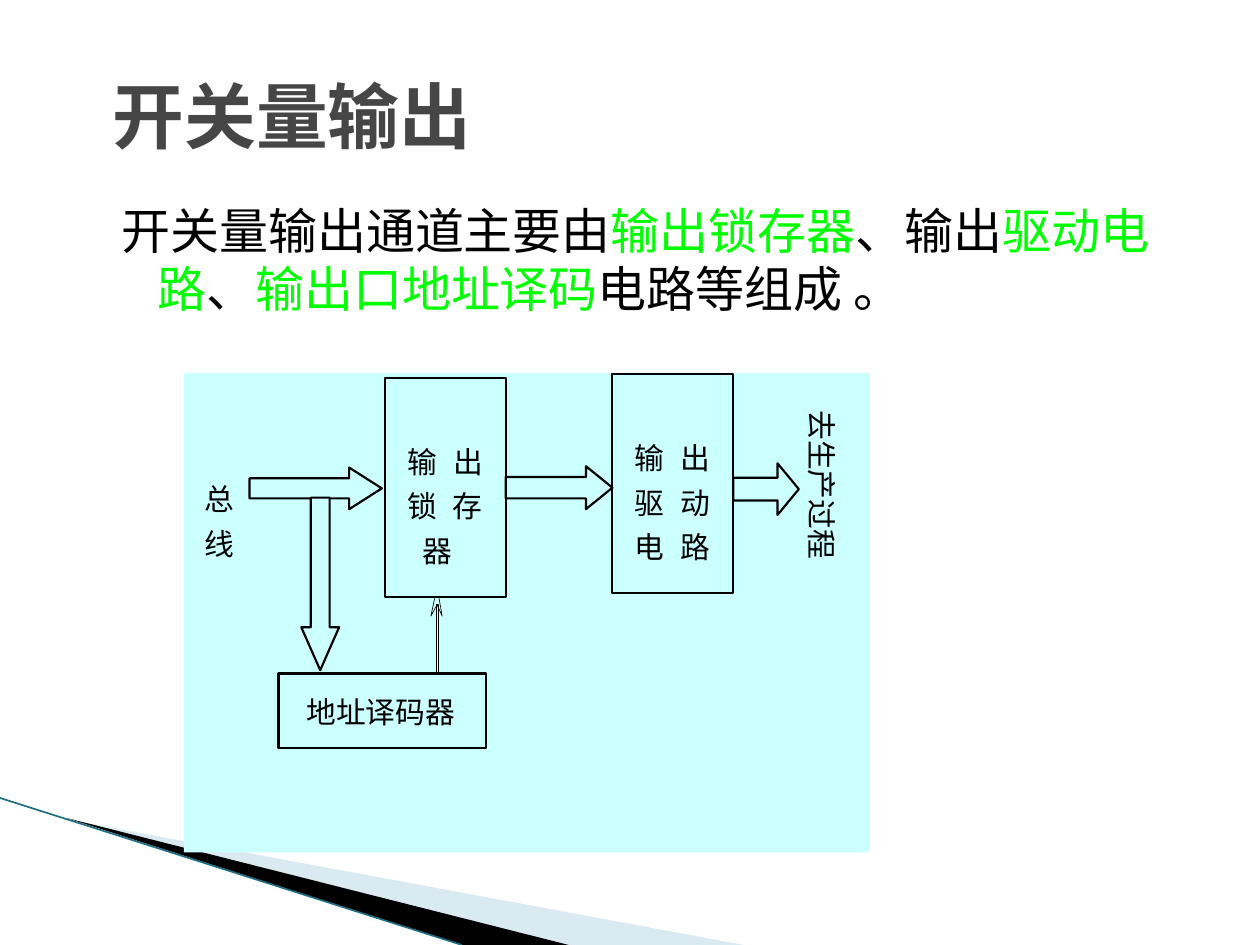
import pptx
import pptx.dml.color
import pptx.enum.shapes
import pptx.enum.text
import pptx.oxml.ns
import pptx.util
from lxml import etree

Pt = pptx.util.Pt
RGBColor = pptx.dml.color.RGBColor
qn = pptx.oxml.ns.qn
MSO_ANCHOR = pptx.enum.text.MSO_ANCHOR
PP_ALIGN = pptx.enum.text.PP_ALIGN

BLACK = RGBColor(0x00, 0x00, 0x00)
GREY = RGBColor(0x46, 0x46, 0x46)
GREEN = RGBColor(0x00, 0xFF, 0x00)
CYAN = RGBColor(0xCC, 0xFF, 0xFF)
PALE_BLUE = RGBColor(0xA0, 0xCB, 0xDC)
TEAL = RGBColor(0x1B, 0x6F, 0x80)


class Deck:
    title_font = "DejaVu Sans Mono"
    font = "Noto Sans CJK SC"
    label_size = 17
    outline = 1.25

    def __init__(self, width, height):
        self.prs = pptx.Presentation()
        self.prs.slide_width, self.prs.slide_height = Pt(width), Pt(height)
        self.slide = self.prs.slides.add_slide(self.prs.slide_layouts[1])
        self.shapes = self.slide.shapes

    def start_group(self):
        self.shapes = self.slide.shapes.add_group_shape().shapes

    def run(self, p, text, size, color, font=None, bold=False):
        r = p.add_run()
        r.text = text
        r.font.size, r.font.bold = Pt(size), bold
        r.font.name = font or self.font
        r.font.color.rgb = color
        ea = etree.SubElement(r.font._element, qn("a:ea"))
        ea.set("typeface", self.font)

    def frame(self, sp, x, y, w, h, anchor):
        sp.left, sp.top, sp.width, sp.height = Pt(x), Pt(y), Pt(w), Pt(h)
        tf = sp.text_frame
        tf.word_wrap = True
        tf.auto_size = pptx.enum.text.MSO_AUTO_SIZE.NONE
        tf.vertical_anchor = anchor
        p = tf.paragraphs[0]
        p.alignment = PP_ALIGN.LEFT
        p.space_before = Pt(0)
        return tf, p

    def indent(self, p, left, first):
        pPr = p._p.get_or_add_pPr()
        pPr.set("marL", str(Pt(left)))
        pPr.set("indent", str(Pt(first)))

    def title(self, text, x, y, w, h):
        tf, p = self.frame(self.slide.shapes.title, x, y, w, h, MSO_ANCHOR.MIDDLE)
        self.indent(p, 9, 0)
        self.run(p, text, 41, GREY, self.title_font, True)

    def body(self, runs, x, y, w, h):
        sp = self.slide.placeholders[1]
        tf, p = self.frame(sp, x, y, w, h, MSO_ANCHOR.TOP)
        p.line_spacing = Pt(33.2)
        self.indent(p, 28.8, -20.6)
        etree.SubElement(p._p.get_or_add_pPr(), qn("a:buNone"))
        for text, color in runs:
            self.run(p, text, 28, color)

    def paint(self, sp, fill, line):
        sp.shadow.inherit = False
        sp.fill.solid()
        sp.fill.fore_color.rgb = fill
        if line:
            sp.line.color.rgb = BLACK
            sp.line.width = Pt(line)
        else:
            sp.line.fill.background()
        return sp

    def box(self, x, y, w, h, line=None):
        rect = pptx.enum.shapes.MSO_SHAPE.RECTANGLE
        sp = self.shapes.add_shape(rect, Pt(x), Pt(y), Pt(w), Pt(h))
        return self.paint(sp, CYAN, line)

    def label(self, text, x, y, w=22.3, h=21.6, rotation=0):
        sp = self.box(x, y, w, h)
        tf, p = self.frame(sp, x, y, w, h, MSO_ANCHOR.MIDDLE)
        tf.margin_left = tf.margin_right = tf.margin_top = tf.margin_bottom = 0
        sp.rotation = rotation
        self.run(p, text, self.label_size, BLACK)

    def characters(self, rows, x, y, dx=25.9, dy=25.5):
        for i, (text, shift) in enumerate(rows):
            for j, char in enumerate(text):
                self.label(char, x + shift + j * dx, y + i * dy)

    def polygon(self, contours, fill, line=None, alpha=None):
        fb = None
        for contour in contours:
            pts = [(Pt(x), Pt(y)) for x, y in contour]
            if fb is None:
                fb = self.shapes.build_freeform(*pts[0])
            else:
                fb.move_to(*pts[0])
            fb.add_line_segments(pts[1:], close=True)
        sp = self.paint(fb.convert_to_shape(), fill, line)
        if alpha:
            clr = sp._element.spPr.find(qn("a:solidFill"))[0]
            etree.SubElement(clr, qn("a:alpha")).set("val", str(alpha * 1000))

    def block_arrow(self, x, y, length, head, shaft, wide, down=False):
        """Arrow whose tail is centred on x, y."""
        neck, s, w = length - head, shaft / 2, wide / 2
        pts = [(0, -s), (neck, -s), (neck, -w), (length, 0),
               (neck, w), (neck, s), (0, s)]
        if down:
            pts = [(b, a) for a, b in pts]
        self.polygon([[(x + a, y + b) for a, b in pts]], CYAN, self.outline)

    def line(self, x1, y1, x2, y2, color, width):
        straight = pptx.enum.shapes.MSO_CONNECTOR.STRAIGHT
        cn = self.shapes.add_connector(straight, Pt(x1), Pt(y1), Pt(x2), Pt(y2))
        cn.line.color.rgb = color
        cn.line.width = Pt(width)
        etree.SubElement(cn._element.spPr, qn("a:effectLst"))


def main():
    deck = Deck(720, 540)

    # Corner decoration
    deck.polygon([[(39.6, 468.5), (425, 540), (325, 540)]], PALE_BLUE, alpha=40)
    deck.polygon([[(38.2, 467.5), (325, 540), (264, 540)]], BLACK)
    deck.line(0, 456, 264, 540, TEAL, 0.95)

    # Title and text
    deck.title("开关量输出", 48.2, 20.5, 612, 90)
    deck.body([("开关量输出通道主要由", BLACK), ("输出锁存器", GREEN),
               ("、输出", BLACK), ("驱动电路", GREEN), ("、", BLACK),
               ("输出口地址译码", GREEN), ("电路等组成 。", BLACK)],
              54, 111.6, 612, 85.7)

    # Diagram panel with bus and process labels
    deck.start_group()
    deck.box(105.1, 213.1, 391.4, 274)
    deck.characters([("总", 0), ("线", 0)], 117, 274.3)
    deck.label("去生产过程", 424.8, 268.6, w=90, rotation=90)

    # Thin arrow from decoder to latch
    deck.polygon([[(249.1, 400), (249.1, 345.2), (250.6, 345.2), (250.6, 400)],
                  [(249.8, 345.6), (246.2, 352.1), (249.8, 335.5), (252.7, 352.1)]],
                 CYAN, 0.38)

    # Latch, driver and decoder
    deck.box(220, 216, 69.1, 125.3, deck.outline)
    deck.characters([("输出", 0), ("锁存", -0.3), ("器", 8.3)], 233, 252.9)
    deck.box(349.9, 213.8, 69.1, 125.3, deck.outline)
    deck.characters([("输出", 0), ("驱动", 0), ("电路", 0)], 362.8, 250.7)
    deck.box(159.1, 384.9, 118.8, 42.5, deck.outline)
    deck.label("地址译码器", 175, 395.6, w=90)

    # Block arrows
    deck.block_arrow(419, 279.5, 37.5, 12.2, 13, 29.5)
    deck.block_arrow(289, 278.7, 61, 15.1, 12.2, 24.5)
    deck.block_arrow(142.6, 279.1, 75.6, 18.7, 11.5, 23.8)
    deck.block_arrow(183, 284.4, 98.6, 24.5, 10.8, 21.6, down=True)

    deck.prs.save("out.pptx")


if __name__ == "__main__":
    main()
